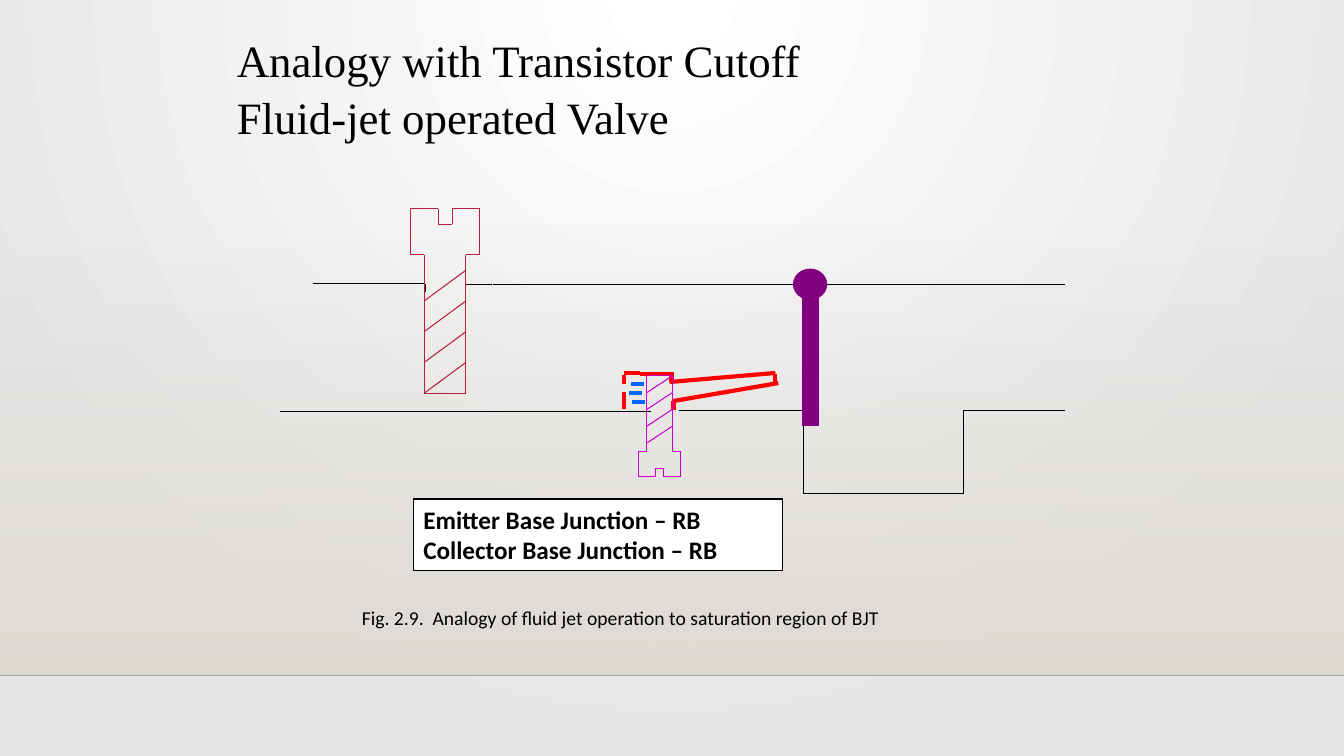
from itertools import pairwise

from pptx import Presentation
from pptx.dml.color import RGBColor
from pptx.enum.dml import MSO_LINE
from pptx.enum.shapes import MSO_CONNECTOR, MSO_SHAPE
from pptx.oxml.ns import qn
from pptx.oxml.xmlchemy import OxmlElement
from pptx.util import Inches, Pt

STRAIGHT = MSO_CONNECTOR.STRAIGHT
RECTANGLE, OVAL = MSO_SHAPE.RECTANGLE, MSO_SHAPE.OVAL
DOTTED = MSO_LINE.SQUARE_DOT

BLACK = RGBColor(0x00, 0x00, 0x00)
WHITE = RGBColor(0xFF, 0xFF, 0xFF)
GREY = RGBColor(0xE7, 0xE7, 0xE7)
SAND = RGBColor(0xDF, 0xDB, 0xD5)
PURPLE = RGBColor(0x80, 0x00, 0x80)
CRIMSON = RGBColor(0xB7, 0x1E, 0x42)
MAGENTA = RGBColor(0xCC, 0x00, 0xCC)
RED = RGBColor(0xFF, 0x00, 0x00)
BLUE = RGBColor(0x00, 0x66, 0xFF)

SCREW_OUTLINE = [(1, 0), (1, 4.5), (0, 4.5), (0, 6), (2, 6), (2, 5.5), (3, 5.5),
                 (3, 6), (5, 6), (5, 4.5), (4, 4.5), (4, 0), (1, 0)]
UPPER_WALL = [(3.1, 2.81, 4.22, 2.81), (4.22, 2.82, 4.22, 2.9), (4.62, 2.82, 4.62, 2.9),
              (4.62, 2.82, 4.88, 2.82), (4.89, 2.82, 6.97, 2.82), (6.81, 2.82, 10.56, 2.82)]
LOWER_WALL = [(2.78, 4.08, 6.46, 4.08), (6.73, 4.07, 7.97, 4.07), (7.97, 4.07, 7.97, 4.9),
              (7.97, 4.9, 9.56, 4.9), (9.56, 4.07, 9.56, 4.9), (9.56, 4.07, 10.56, 4.07)]
NOZZLE = [(6.66, 3.69, 6.66, 3.78), (6.19, 3.72, 6.19, 3.81), (6.51, 3.71, 6.35, 3.71),
          (6.67, 3.98, 7.72, 3.8), (6.64, 3.79, 7.69, 3.7), (6.19, 3.89, 6.19, 4.06),
          (6.51, 3.71, 6.67, 3.71), (6.35, 3.7, 6.19, 3.7), (7.69, 3.71, 7.69, 3.8),
          (6.68, 3.98, 6.68, 4.07)]
FLUID = [(6.26, 3.81, 6.42, 3.81), (6.24, 3.9, 6.4, 3.9), (6.27, 3.99, 6.43, 3.99)]


def set_alpha(color_element, percent):
    alpha = OxmlElement("a:alpha")
    alpha.set("val", str(percent * 1000))
    color_element.append(alpha)


def write_text(shape, text, size, font="Calibri", bold=False, spacing=None):
    frame = shape.text_frame
    frame.word_wrap = True
    frame.text = text
    for paragraph in frame.paragraphs:
        paragraph.line_spacing = spacing
        paragraph.font.name = font
        paragraph.font.size = Pt(size)
        paragraph.font.bold = bold
        paragraph.font.color.rgb = BLACK


class ValveSlide:
    """Draws the fluid-jet valve diagram on one slide."""

    def __init__(self, presentation):
        self.slide = presentation.slides.add_slide(presentation.slide_layouts[6])
        self.shapes = self.slide.shapes

    def color_stops(self, fill, colors):
        fill.gradient()
        for stop, color in zip(fill.gradient_stops, colors):
            stop.color.rgb = color

    def background(self):
        self.color_stops(self.slide.background.fill, (WHITE, GREY))
        gradient = self.slide.element.find(".//" + qn("a:gradFill"))
        circle = OxmlElement("a:path")
        circle.set("path", "circle")
        focus = OxmlElement("a:fillToRect")
        for side, percent in (("l", 43), ("t", 0), ("r", 43), ("b", 100)):
            focus.set(side, str(percent * 1000))
        circle.append(focus)
        gradient.replace(gradient.find(qn("a:lin")), circle)

    def floor(self):
        panel = self.box(RECTANGLE, 0, 2.21, 13.33, 4.49)
        self.color_stops(panel.fill, (SAND, SAND))
        panel.fill.gradient_angle = 270
        set_alpha(panel.element.find(".//" + qn("a:srgbClr")), 0)
        edge = self.line(0, 6.7, 13.33, 6.7, width=1)
        set_alpha(edge.element.find(".//" + qn("a:srgbClr")), 20)

    def line(self, x1, y1, x2, y2, color=BLACK, width=0.75, dash=None):
        connector = self.shapes.add_connector(
            STRAIGHT, Inches(x1), Inches(y1), Inches(x2), Inches(y2))
        connector.line.color.rgb = color
        connector.line.width = Pt(width)
        if dash:
            connector.line.dash_style = dash
        connector.element.spPr.append(OxmlElement("a:effectLst"))
        return connector

    def lines(self, segments, **style):
        for segment in segments:
            self.line(*segment, **style)

    def box(self, kind, left, top, width, height, fill=None, outline=None, weight=1):
        shape = self.shapes.add_shape(
            kind, Inches(left), Inches(top), Inches(width), Inches(height))
        shape.shadow.inherit = False
        if fill is not None:
            shape.fill.solid()
            shape.fill.fore_color.rgb = fill
        if outline is None:
            shape.line.fill.background()
        else:
            shape.line.color.rgb = outline
            shape.line.width = Pt(weight)
        return shape

    def screw(self, first_x, last_x, tip, head, color):
        column, row = (last_x - first_x) / 5, (head - tip) / 6
        threads = [((1, turn), (4, turn + 1)) for turn in range(4)]
        for (c1, r1), (c2, r2) in [*pairwise(SCREW_OUTLINE), *threads]:
            self.line(first_x + c1 * column, tip + r1 * row,
                      first_x + c2 * column, tip + r2 * row, color)

    def label(self, text, left, top, width, height, **style):
        shape = self.shapes.add_textbox(
            Inches(left), Inches(top), Inches(width), Inches(height))
        write_text(shape, text, **style)

    def boxed_label(self, text, left, top, width, height, **style):
        shape = self.box(RECTANGLE, left, top, width, height, WHITE, BLACK)
        write_text(shape, text, **style)
        for paragraph in shape.text_frame.paragraphs:
            paragraph.alignment = 1


def main():
    presentation = Presentation()
    presentation.slide_width, presentation.slide_height = Inches(13.33), Inches(7.5)
    valve = ValveSlide(presentation)
    valve.background()
    valve.floor()
    valve.lines(UPPER_WALL + LOWER_WALL)
    valve.box(OVAL, 7.87, 2.67, 0.33, 0.3, PURPLE, PURPLE, 0.75)
    valve.line(8.04, 2.86, 8.04, 4.23, PURPLE, 12.5)
    valve.screw(4.07, 4.76, 3.9, 2.07, CRIMSON)
    valve.lines(NOZZLE, color=RED, width=3)
    valve.screw(6.75, 6.33, 3.73, 4.73, MAGENTA)
    valve.lines(FLUID, color=BLUE, width=3, dash=DOTTED)
    valve.label("Analogy with Transistor Cutoff\nFluid-jet operated Valve",
                2.25, 0.25, 8.51, 1.18, size=32, font="Times New Roman", spacing=1.05)
    valve.boxed_label("Emitter Base Junction – RB\nCollector Base Junction – RB",
                      4.1, 4.95, 3.66, 0.71, size=18, bold=True)
    valve.label("Fig. 2.9.  Analogy of fluid jet operation to saturation region of BJT",
                3.49, 5.96, 6.19, 0.34, size=14)
    presentation.save("out.pptx")


if __name__ == "__main__":
    main()
